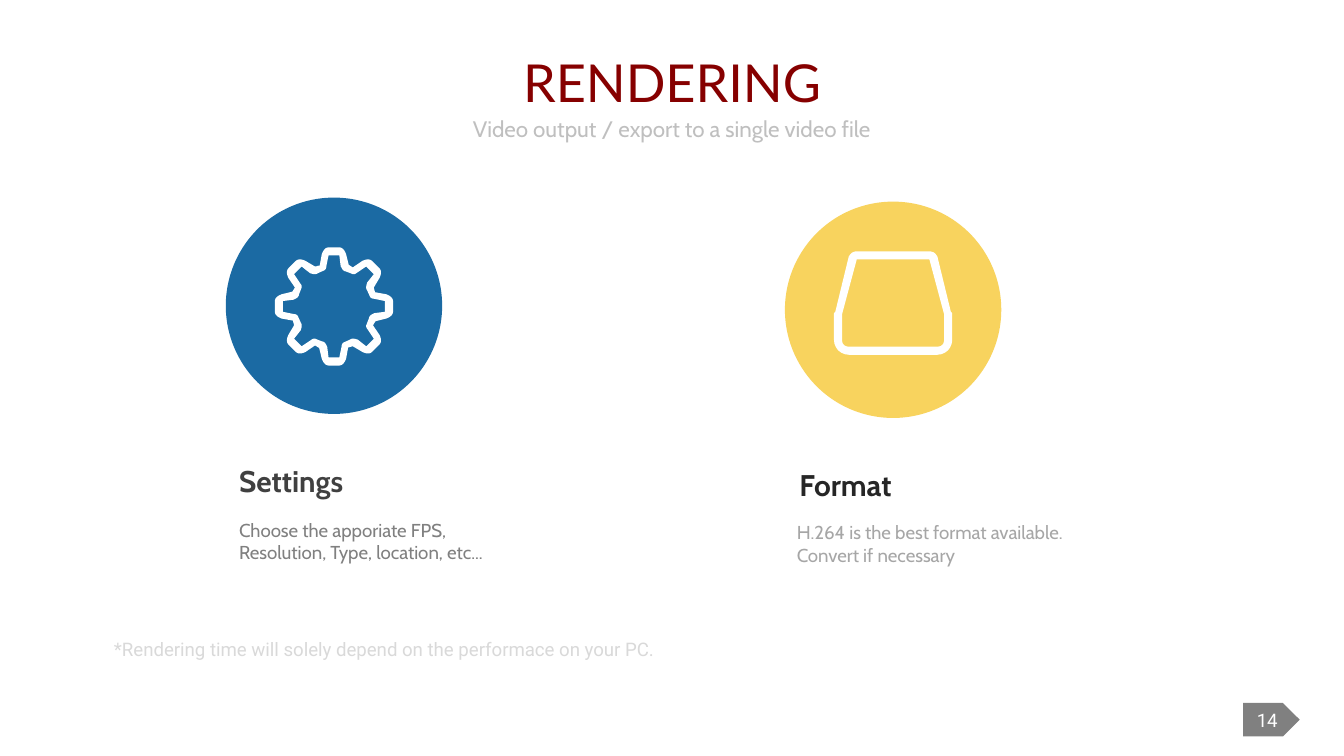
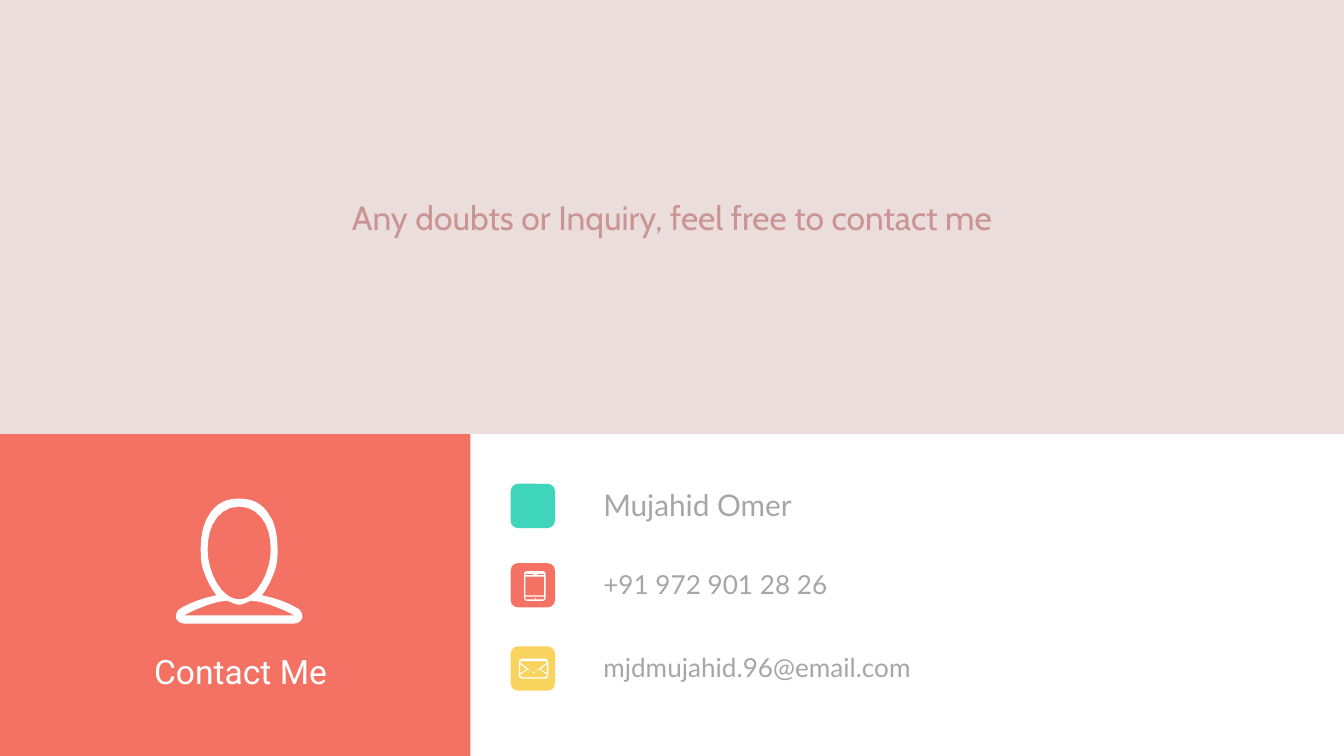
from math import cos, pi, sin

from lxml.etree import SubElement
from pptx import Presentation
from pptx.dml.color import RGBColor
from pptx.enum.shapes import MSO_SHAPE as Preset
from pptx.enum.text import MSO_ANCHOR as Anchor, PP_ALIGN as Align
from pptx.oxml.ns import qn
from pptx.util import Inches, Pt

WHITE, GRAY, LIGHT_GRAY = "FFFFFF", "808080", "A6A6A6"
DARK_RED, ROSE, CORAL = "860000", "CA9E9E", "F47264"
BLUE, YELLOW, TEAL = "1B6AA3", "F8D35E", "3FD5BA"
SLIDE_WIDTH = 10
SLIDE_HEIGHT = SLIDE_WIDTH * 9 / 16
UNITS = 1000  # freeform units per inch


# Colour, text and shape helpers
def set_alpha(element, percent):
    color = element.find(".//" + qn("a:srgbClr"))
    SubElement(color, qn("a:alpha")).set("val", str(percent * 1000))


def set_fill(shape, color, alpha=None):
    shape.shadow.inherit = False
    shape.fill.solid()
    shape.fill.fore_color.rgb = RGBColor.from_string(color)
    shape.line.fill.background()
    if alpha:
        set_alpha(shape._element.spPr, alpha)


def write(shape, lines, size, font, color, align=Align.LEFT, anchor=Anchor.TOP,
          bold=False, alpha=None):
    frame = shape.text_frame
    frame.word_wrap = True
    frame.vertical_anchor = anchor
    for number, line in enumerate(lines):
        paragraph = frame.add_paragraph() if number else frame.paragraphs[0]
        paragraph.alignment = align
        run = paragraph.add_run()
        run.text = line
        run.font.size = Pt(size)
        run.font.name = font
        run.font.bold = bold
        run.font.color.rgb = RGBColor.from_string(color)
        if alpha:
            set_alpha(run._r, alpha)
    return frame


def add_text(slide, box, lines, *style, **options):
    shape = slide.shapes.add_textbox(*map(Inches, box))
    return write(shape, lines, *style, **options)


def add_preset(slide, preset, box, color, alpha=None):
    shape = slide.shapes.add_shape(preset, *map(Inches, box))
    set_fill(shape, color, alpha)
    return shape


# Outlines: a pair is a corner, six numbers are a Bézier curve
def flatten(steps, pieces=6):
    points = []
    for step in steps:
        if len(step) == 2:
            points.append(step)
            continue
        x0, y0 = points[-1]
        x1, y1, x2, y2, x3, y3 = step
        for piece in range(1, pieces + 1):
            t = piece / pieces
            a, b, c, d = (1 - t) ** 3, 3 * t * (1 - t) ** 2, 3 * t * t * (1 - t), t ** 3
            points.append((a * x0 + b * x1 + c * x2 + d * x3,
                           a * y0 + b * y1 + c * y2 + d * y3))
    return points


def flip(points):
    return [(-x, y) for x, y in reversed(points)]


def mirrored(half):
    points = flatten(half)
    return points + flip(points)


def rotated(sector, count):
    points = flatten(sector)
    turns = [2 * pi * number / count for number in range(count)]
    return [(x * cos(turn) - y * sin(turn), x * sin(turn) + y * cos(turn))
            for turn in turns for x, y in points]


def rectangle(left, top, right, bottom):
    return [(left, top), (right, top), (right, bottom), (left, bottom)]


def add_icon(slide, x, y, contours):
    """Draw white contours around the point x, y; inner ones are holes."""
    builder = None
    for contour in contours:
        points = [(round(px * UNITS), round(py * UNITS)) for px, py in contour]
        if builder is None:
            builder = slide.shapes.build_freeform(*points[0], scale=Inches(1) / UNITS)
        else:
            builder.move_to(*points[0])
        builder.add_line_segments(points[1:], close=True)
    set_fill(builder.convert_to_shape(Inches(x), Inches(y)), WHITE)


# Icons
GEAR = [
    rotated([(-.09, -.39), (-.08, -.42, -.06, -.44, -.04, -.44), (.04, -.44),
             (.06, -.44, .08, -.42, .09, -.39), (.11, -.31),
             (.12, -.3, .13, -.3, .14, -.29)], 8),
    rotated([(-.04, -.38), (.04, -.38), (.05, -.3),
             (.06, -.28, .07, -.26, .09, -.26), (.14, -.24),
             (.15, -.24, .16, -.24, .17, -.25)], 8),
]
DRIVE = [
    mirrored([(.27, 0), (.3, 0, .32, .02, .33, .04), (.43, .45),
              (.44, .46, .44, .46, .44, .47), (.44, .66),
              (.44, .72, .39, .77, .33, .77)]),
    mirrored([(.27, .06), (.38, .47), (.38, .66), (.38, .69, .36, .71, .33, .71)]),
]
PERSON = [
    mirrored([(0, 0), (.09, 0, .16, .03, .21, .1), (.3, .21, .29, .39, .28, .48),
              (.27, .54, .23, .64, .17, .72), (.33, .75, .44, .82, .44, .82),
              (.47, .84, .47, .87, .47, .89), (.46, .91, .44, .93, .41, .93)]),
    mirrored([(0, .06), (.14, .06, .22, .19, .23, .31), (.25, .44, .21, .58, .13, .68),
              (.12, .69), (.08, .73, .04, .75, 0, .75)]),
    mirrored([(0, .79), (.03, .79, .06, .77, .09, .76), (.16, .77),
              (.31, .81, .41, .87, .41, .87)]),
]
PHONE = [
    mirrored([(.06, 0), (.07, 0, .08, .01, .08, .02), (.08, .2),
              (.08, .21, .07, .22, .06, .22)]),
    rectangle(-.07, .02, .07, .03),
    rectangle(-.07, .04, .07, .18),
    rectangle(-.07, .19, .07, .21),
]
FOLD = [(.1, .11), (.05, .08), (.1, .04)]
ENVELOPE = [
    mirrored([(.08, 0), (.1, 0, .11, .02, .11, .03), (.11, .12),
              (.11, .14, .1, .15, .08, .15)]),
    mirrored([(.08, .02), (.09, .02, .1, .02, .1, .03), (.01, .1), (0, .1)]),
    mirrored([(0, .11), (.01, .1), (.04, .08), (.1, .12), (.1, .13, .09, .14, .08, .14)]),
    FOLD,
    flip(FOLD),
]


# Rendering slide
def add_heading(slide, title, subtitle, left, top, width):
    shape = slide.shapes.title
    shape.left, shape.top, shape.width, shape.height = map(Inches, (left, top, width, .4))
    write(shape, [title], 28, "Lato", DARK_RED, Align.CENTER, Anchor.MIDDLE)
    frame = add_text(slide, (left, top + .4, width, .33), [subtitle], 12, "Cabin",
                     "BFBFBF", Align.CENTER)
    frame.paragraphs[0].space_before = Pt(2.4)


def add_topic(slide, left, top, circle_color, icon, icon_y, label, label_color,
              label_left, lines, lines_color, lines_left, lines_top):
    diameter = 1.61
    add_preset(slide, Preset.OVAL, (left, top, diameter, diameter), circle_color)
    add_icon(slide, left + diameter / 2, top + icon_y, icon)
    add_text(slide, (label_left, top + 1.92, 1.32, .37), [label], 16, "Cabin",
             label_color, bold=True)
    add_text(slide, (lines_left, lines_top, 2.18, .44), lines, 10, "Cabin", lines_color)


def add_page_number(slide, number):
    tag = add_preset(slide, Preset.PENTAGON, (9.25, 5.23, .42, .25), GRAY)
    frame = write(tag, [number], 10, "Roboto", WHITE, Align.CENTER, Anchor.MIDDLE)
    frame.margin_left = frame.margin_right = frame.margin_top = frame.margin_bottom = 0


def build_rendering(presentation):
    slide = presentation.slides.add_slide(presentation.slide_layouts[5])
    add_heading(slide, "RENDERING", "Video output / export to a single video file",
                .5, .41, 9)
    add_topic(slide, 1.68, 1.47, BLUE, GEAR, .81, "Settings", "404040", 1.68,
              ["Choose the apporiate FPS, Resolution, Type, location, etc..."],
              GRAY, 1.68, 3.81)
    add_topic(slide, 5.84, 1.5, YELLOW, DRIVE, .37, "Format", "262626", 5.85,
              ["H.264 is the best format available.", "Convert if necessary"],
              LIGHT_GRAY, 5.83, 3.83)
    add_text(slide, (.75, 4.7, 8.5, .27),
             ["*Rendering time will solely depend on the performace on your PC."],
             10, "Roboto", "D9D9D9")
    add_page_number(slide, "14")


# Contact slide
def add_banner(slide, height, message):
    banner = add_preset(slide, Preset.RECTANGLE, (0, 0, SLIDE_WIDTH, height), ROSE, 34)
    write(banner, [message], 18, "Cabin", DARK_RED, Align.CENTER, Anchor.MIDDLE, alpha=32)


def add_contact_panel(slide, top, width, label):
    add_preset(slide, Preset.RECTANGLE, (0, top, width, SLIDE_HEIGHT - top), CORAL)
    add_icon(slide, 1.78, top + .48, PERSON)
    add_text(slide, (.5, top + 1.56, 2.58, .4), [label], 18, "Roboto", WHITE,
             Align.CENTER, Anchor.MIDDLE)


def add_contact_row(slide, left, top, color, text, size, text_height):
    side = .33
    add_preset(slide, Preset.ROUNDED_RECTANGLE, (left, top, side, side), color)
    text_top = top + side / 2 - .01 - text_height / 2
    add_text(slide, (left + .59, text_top, 2.58, text_height), [text], size, "Lato",
             LIGHT_GRAY, anchor=Anchor.MIDDLE)


def build_contact(presentation):
    slide = presentation.slides.add_slide(presentation.slide_layouts[6])
    split, left = 3.23, 3.8
    add_banner(slide, split, "Any doubts or Inquiry, feel free to contact me")
    add_contact_panel(slide, split, 3.5, "Contact Me")
    add_contact_row(slide, left, 3.6, TEAL, "Mujahid Omer", 16, .37)
    add_contact_row(slide, left, 4.19, CORAL, "+91 972 901 28 26", 14, .34)
    add_contact_row(slide, left, 4.81, YELLOW, "mjdmujahid.96@email.com", 14, .34)
    # Row icons, with the speaker and button of the phone
    add_icon(slide, left + .18, 4.25, PHONE)
    for box in ((left + .17, 4.27, .03, .01), (left + .18, 4.45, .01, .01)):
        add_preset(slide, Preset.ROUNDED_RECTANGLE, box, WHITE)
    add_icon(slide, left + .17, 4.9, ENVELOPE)


def main():
    presentation = Presentation()
    presentation.slide_width = Inches(SLIDE_WIDTH)
    presentation.slide_height = Inches(SLIDE_HEIGHT)
    build_rendering(presentation)
    build_contact(presentation)
    presentation.save("out.pptx")


if __name__ == "__main__":
    main()
